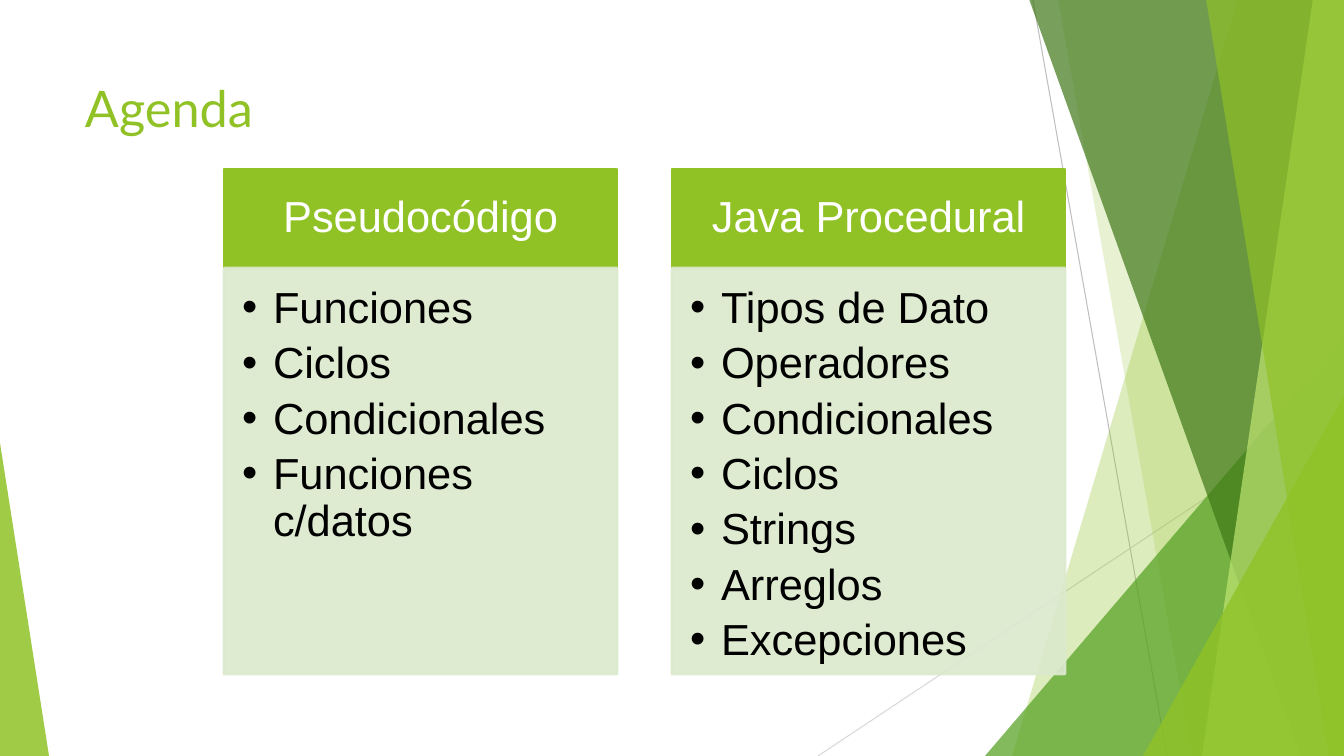
from lxml import etree
from pptx import Presentation
from pptx.dml.color import RGBColor
from pptx.enum.shapes import MSO_CONNECTOR as Connector, MSO_SHAPE as Shape
from pptx.enum.text import MSO_ANCHOR as Anchor, PP_ALIGN as Align
from pptx.oxml.ns import qn
from pptx.util import Pt

PX = 9071  # EMU per px, 100.8 px to the inch
WIDTH, HEIGHT = 1344, 756
COLOURS = {
    "lime": "90C226", "green": "54A021", "forest": "3F7818", "light": "BFE471",
    "pale": "DBE9CD", "grey": "BFBFBF", "silver": "D8D8D8",
    "white": "FFFFFF", "black": "000000",
}


def paint(shape, colour, opacity=100, border=0):
    shape.shadow.inherit = False
    shape.fill.solid()
    shape.fill.fore_color.rgb = RGBColor.from_string(COLOURS[colour])
    if border:
        shape.line.width = Pt(border)
        shape.line.color.rgb = RGBColor.from_string(COLOURS[colour])
    else:
        shape.line.fill.background()
    if opacity < 100:
        for tone in shape._element.spPr.iter(qn("a:srgbClr")):
            etree.SubElement(tone, qn("a:alpha")).set("val", str(opacity * 1000))


def write(box, lines, size, font, colour, margins, anchor=Anchor.TOP,
          align=Align.LEFT, spacing=1.0, after=0, indent=0):
    frame = box.text_frame
    frame.word_wrap = True
    frame.vertical_anchor = anchor
    (frame.margin_left, frame.margin_top,
     frame.margin_right, frame.margin_bottom) = [side * PX for side in margins]
    for number, line in enumerate(lines):
        para = frame.add_paragraph() if number else frame.paragraphs[0]
        para.alignment = align
        para.line_spacing = spacing
        para.space_after = Pt(after)
        span = para.add_run()
        span.text = line
        span.font.size = Pt(size)
        span.font.name = font
        span.font.color.rgb = RGBColor.from_string(COLOURS[colour])
        if indent:
            props = para._p.get_or_add_pPr()
            props.set("marL", str(indent * PX))
            props.set("indent", str(-indent * PX))
            etree.SubElement(props, qn("a:buFont")).set("typeface", "Arial")
            etree.SubElement(props, qn("a:buChar")).set("char", "•")


deck = Presentation()
deck.slide_width, deck.slide_height = WIDTH * PX, HEIGHT * PX
page = deck.slides.add_slide(deck.slide_layouts[6])
shapes = page.shapes

# Thin lines behind the facets
for x1, y1, x2, y2, colour in [
    (1033, 0, 1167, HEIGHT, "grey"),
    (WIDTH, 406, 818, HEIGHT, "silver"),
]:
    ray = shapes.add_connector(Connector.STRAIGHT, x1 * PX, y1 * PX, x2 * PX, y2 * PX)
    ray.line.width = Pt(0.75)
    ray.line.color.rgb = RGBColor.from_string(COLOURS[colour])
    etree.SubElement(ray._element.spPr, qn("a:effectLst"))

# Facets: bands (top x, bottom x) run to the right edge,
# triangles (left, top, width, apex) stand on the bottom edge
for kind, place, colour, opacity in [
    ("band", (1238, 1012), "lime", 30),
    ("band", (1058, 1192), "lime", 20),
    ("triangle", (985, 336, 359, 1), "green", 72),
    ("band", (1029, 1301), "forest", 70),
    ("band", (1313, 1202), "light", 70),
    ("band", (1206, 1329), "lime", 65),
    ("triangle", (1143, 396, 201, 1), "lime", 80),
    ("triangle", (0, 443, 49, 0), "lime", 85),
]:
    if kind == "band":
        top_x, bottom_x = place
        outline = shapes.build_freeform(top_x, -1, scale=PX)
        outline.add_line_segments([(WIDTH, -1), (WIDTH, HEIGHT), (bottom_x, HEIGHT)])
        facet = outline.convert_to_shape()
    else:
        left, top, width, apex = place
        facet = shapes.add_shape(Shape.ISOSCELES_TRIANGLE, left * PX, top * PX,
                                 width * PX, (HEIGHT - top) * PX)
        facet.adjustments[0] = apex
    paint(facet, colour, opacity)

# Title
title = shapes.add_textbox(75 * PX, 67 * PX, 947 * PX, 145 * PX)
write(title, ["Agenda"], 36, "Lato", "lime", (10, 10, 10, 10))

# Topic columns
TOPICS = {
    "Pseudocódigo": ["Funciones", "Ciclos", "Condicionales", "Funciones c/datos"],
    "Java Procedural": ["Tipos de Dato", "Operadores", "Condicionales", "Ciclos",
                        "Strings", "Arreglos", "Excepciones"],
}
COLUMN_LEFT, COLUMN_STEP, COLUMN_WIDTH = 224, 448, 393
HEADER_TOP, HEADER_HEIGHT, BODY_HEIGHT = 169, 99, 406
for column, (heading, items) in enumerate(TOPICS.items()):
    left = COLUMN_LEFT + column * COLUMN_STEP
    header = shapes.add_shape(Shape.RECTANGLE, left * PX, HEADER_TOP * PX,
                              COLUMN_WIDTH * PX, HEADER_HEIGHT * PX)
    paint(header, "lime", border=2)
    write(header, [heading], 31, "Arial", "white", (24, 14, 24, 14),
          anchor=Anchor.MIDDLE, align=Align.CENTER, spacing=0.9)
    body = shapes.add_shape(Shape.RECTANGLE, left * PX, (HEADER_TOP + HEADER_HEIGHT) * PX,
                            COLUMN_WIDTH * PX, BODY_HEIGHT * PX)
    paint(body, "pale", 90, border=2)
    write(body, items, 31, "Arial", "black", (18, 18, 24, 27),
          spacing=0.9, after=6, indent=31)

deck.save("out.pptx")
